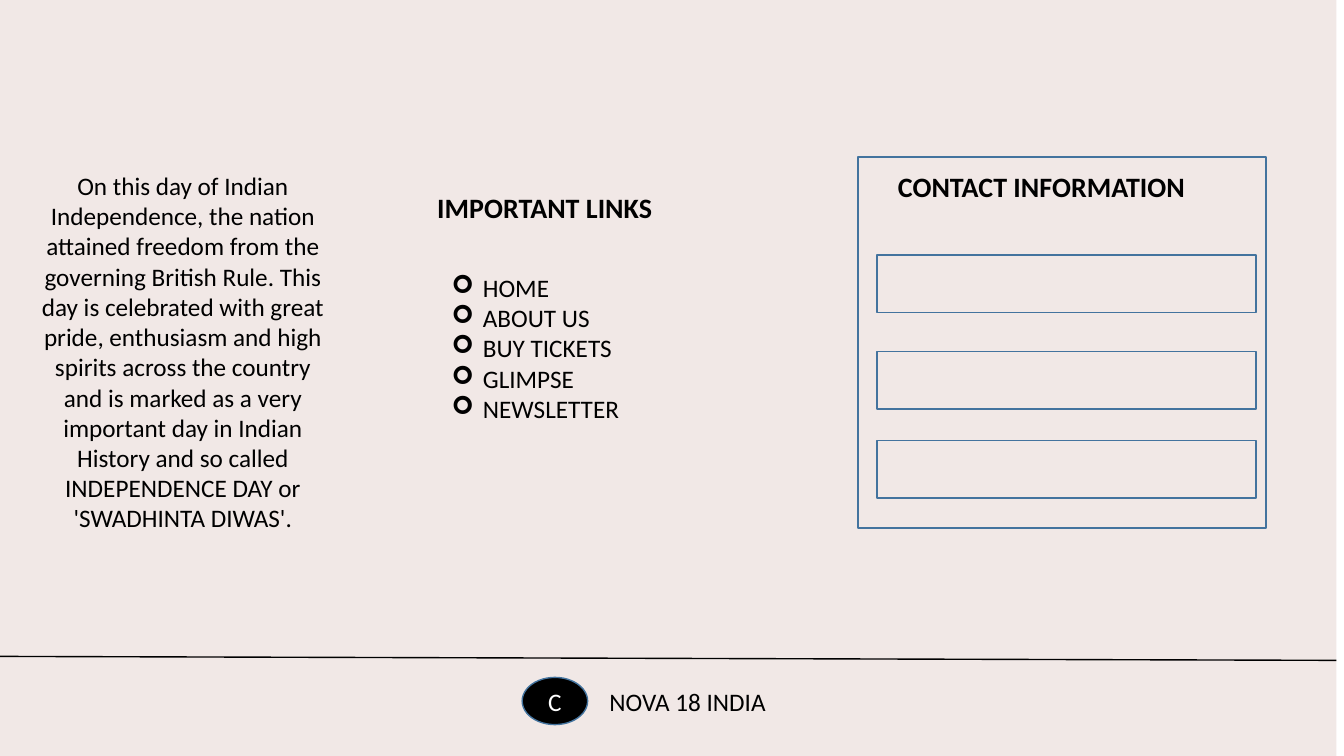
import pptx
import pptx.dml.color
import pptx.enum.shapes
import pptx.enum.text
import pptx.oxml
import pptx.oxml.ns
import pptx.util
from pptx.util import Cm

RGBColor = pptx.dml.color.RGBColor
MSO_SHAPE = pptx.enum.shapes.MSO_SHAPE
PP_ALIGN = pptx.enum.text.PP_ALIGN

BLUSH = RGBColor(0xF1, 0xE8, 0xE6)
STEEL_BLUE = RGBColor(0x43, 0x73, 0x9E)
BLACK = RGBColor(0, 0, 0)
WHITE = RGBColor(0xFF, 0xFF, 0xFF)

ABOUT = (
    "On this day of Indian Independence, the nation attained freedom from the "
    "governing British Rule. This day is celebrated with great pride, enthusiasm "
    "and high spirits across the country and is marked as a very important day in "
    "Indian History and so called INDEPENDENCE DAY or 'SWADHINTA DIWAS'."
)
LINKS = ["HOME", "ABOUT US", "BUY TICKETS", "GLIMPSE", "NEWSLETTER"]
FIELD_TOPS = [6.43, 8.86, 11.1]


def add_box(slide, left, top, width, height, fill=None, line=None,
            kind=MSO_SHAPE.FLOWCHART_PROCESS):
    """Add a preset shape; lengths are in centimetres."""
    shape = slide.shapes.add_shape(kind, Cm(left), Cm(top), Cm(width), Cm(height))
    shape.shadow.inherit = False
    if fill is None:
        shape.fill.background()
    else:
        shape.fill.solid()
        shape.fill.fore_color.rgb = fill
    if line is None:
        shape.line.fill.background()
    else:
        shape.line.color.rgb = line
        shape.line.width = pptx.util.Pt(1)
    return shape


def write_text(shape, *lines, size=18, bold=False, color=BLACK,
               align=PP_ALIGN.LEFT, bullet=None):
    """Write one paragraph per line, centred vertically in the shape."""
    frame = shape.text_frame
    frame.word_wrap = True
    frame.vertical_anchor = pptx.enum.text.MSO_ANCHOR.MIDDLE
    frame.text = "\n".join(lines)
    for paragraph in frame.paragraphs:
        paragraph.alignment = align
        font = paragraph.runs[0].font
        font.name = "Calibri"
        font.size = pptx.util.Pt(size)
        font.bold = bold
        font.color.rgb = color
        if bullet:
            add_bullet(paragraph, bullet)


def add_bullet(paragraph, character, indent=Cm(0.79)):
    properties = paragraph._p.get_or_add_pPr()
    properties.set("marL", str(indent))
    properties.set("indent", str(-indent))
    namespace = pptx.oxml.ns.nsdecls("a")
    for element in (f'<a:buFont {namespace} typeface="Wingdings"/>',
                    f'<a:buChar {namespace} char="{character}"/>'):
        properties.append(pptx.oxml.parse_xml(element))


def add_heading(slide, text, left, top):
    write_text(add_box(slide, left, top, 8.05, 1.45), text, size=20, bold=True)


def add_rule(slide, left, top, right, bottom):
    connector = slide.shapes.add_connector(
        pptx.enum.shapes.MSO_CONNECTOR.STRAIGHT,
        Cm(left), Cm(top), Cm(right), Cm(bottom))
    connector.line.color.rgb = BLACK
    connector.line.width = pptx.util.Pt(1)
    connector._element.spPr.append(pptx.oxml.parse_xml(
        f'<a:effectLst {pptx.oxml.ns.nsdecls("a")}/>'))


def main():
    presentation = pptx.Presentation()
    presentation.slide_width = Cm(33.87)
    presentation.slide_height = Cm(19.05)
    slide = presentation.slides.add_slide(presentation.slide_layouts[6])

    # Background panel
    add_box(slide, 0, 0, 33.68, 19.05, fill=BLUSH, kind=MSO_SHAPE.RECTANGLE)

    # About column
    about = add_box(slide, 0.61, 3.96, 8, 9.8)
    write_text(about, ABOUT, align=PP_ALIGN.CENTER)

    # Links column
    add_heading(slide, "IMPORTANT LINKS", 10.77, 4.5)
    links = add_box(slide, 11.13, 5.94, 5.72, 6.43)
    links.text_frame.margin_bottom = Cm(0.9)
    write_text(links, *LINKS, bullet="➢")

    # Contact form
    add_box(slide, 21.62, 3.96, 10.29, 9.35, line=STEEL_BLUE)
    add_heading(slide, "CONTACT INFORMATION", 22.38, 3.96)
    for top in FIELD_TOPS:
        add_box(slide, 22.1, top, 9.55, 1.45, line=STEEL_BLUE)

    # Footer
    add_rule(slide, 0, 16.54, 33.68, 16.64)
    badge = add_box(slide, 13.16, 17.07, 1.65, 1.19, fill=BLACK, line=STEEL_BLUE,
                    kind=MSO_SHAPE.FLOWCHART_CONNECTOR)
    write_text(badge, "C", color=WHITE, align=PP_ALIGN.CENTER)
    write_text(add_box(slide, 15.11, 17.09, 4.83, 1.17), "NOVA 18 INDIA")

    presentation.save("out.pptx")


if __name__ == "__main__":
    main()
